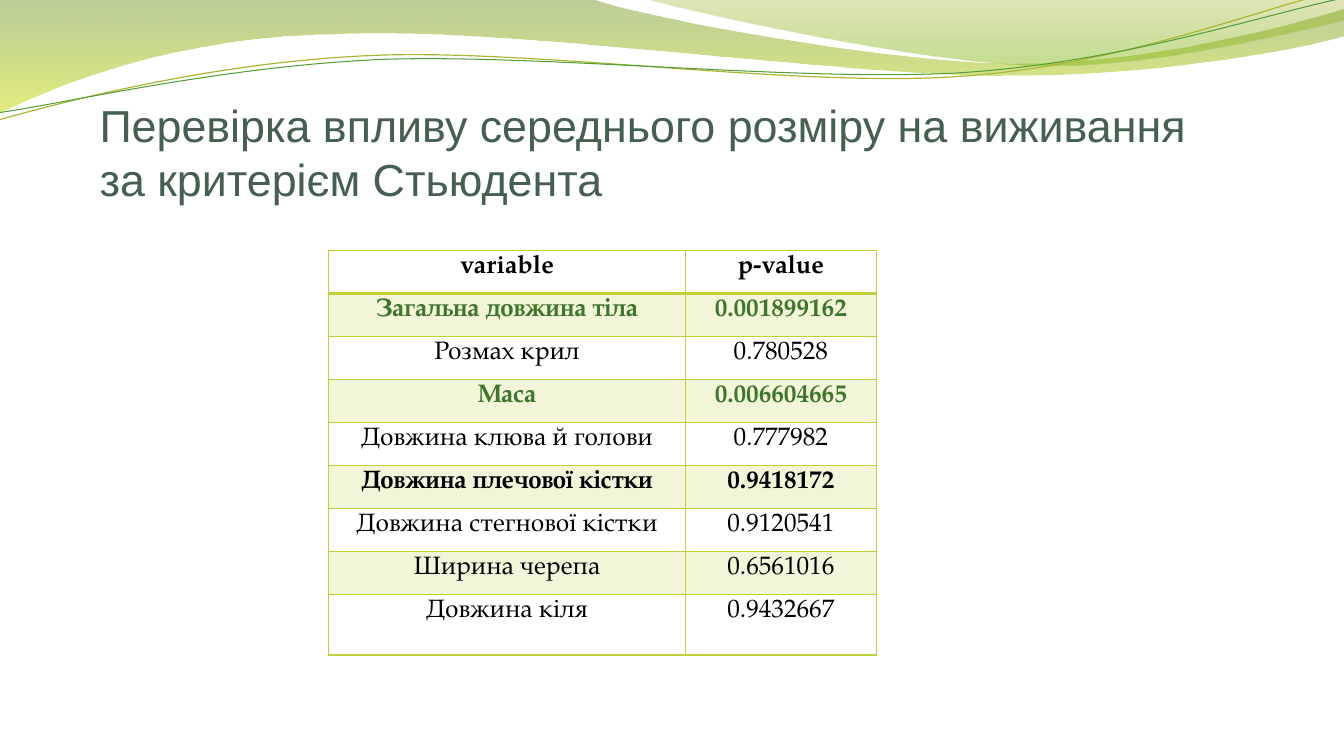
from lxml.etree import SubElement
from pptx import Presentation
from pptx.dml.color import RGBColor
from pptx.enum.text import MSO_ANCHOR, PP_ALIGN
from pptx.oxml.ns import qn
from pptx.util import Cm, Pt

LIME = RGBColor(0xC0, 0xCF, 0x3A)
PALE_LIME = RGBColor(0xF2, 0xF5, 0xD8)
GREEN = RGBColor(0x3F, 0x76, 0x2B)
SLATE = RGBColor(0x45, 0x5F, 0x51)
BLACK = RGBColor(0, 0, 0)
MOSS = RGBColor(0x69, 0x92, 0x1C)
YELLOW_GREEN = RGBColor(0xCC, 0xE1, 0x0F)
OLIVE = RGBColor(0x9B, 0xAA, 0x1A)
LEAF = RGBColor(0x81, 0xBA, 0x16)
OLIVE_LINE = RGBColor(0xA9, 0xB7, 0x33)
GREEN_LINE = RGBColor(0x54, 0x9E, 0x39)

BANDS = [
    ((0, 0), [
        [(14.91, -0.03)],
        [(16.1, 0.43), (22.45, 1.6), (25.68, 1.6)],
        [(28.88, 1.6), (32.44, 0.66), (33.86, 0.23)],
        [(33.88, 0.91)],
        [(33.3, 1.12), (29.44, 1.93), (25.25, 1.91)],
        [(21.06, 1.91), (12.93, 0.71), (8.71, 0.86)],
        [(4.37, 0.91), (1.55, 2.11), (-0.05, 2.87)],
    ], [(0, MOSS, 45), (1, YELLOW_GREEN, 55)]),
    ((16.21, -0.03), [
        [(17.25, 0.28), (23.09, 1.57), (26.04, 1.65)],
        [(28.96, 1.75), (32.56, 0.81), (33.86, 0.53)],
        [(33.86, 0)],
    ], [(0, OLIVE, 30), (0.8, LEAF, 45)]),
]
STRANDS = [
    ((-0.03, 3.02), [
        [(1.6, 2.57), (5.33, 1.57), (9.37, 1.4)],
        [(13.39, 1.22), (20.04, 2.21), (24.1, 1.93)],
        [(28.19, 1.68), (31.78, 0.2), (33.78, -0.25)],
    ], OLIVE_LINE, 0.85),
    ((-0.03, 2.84), [
        [(1.57, 2.62), (5.54, 1.68), (9.58, 1.5)],
        [(13.64, 1.35), (20.22, 2.08), (24.26, 1.83)],
        [(28.3, 1.57), (31.88, 0.36), (33.86, -0.05)],
    ], GREEN_LINE, 0.75),
]
ROWS = [
    ("variable", "p-value", BLACK, True),
    ("Загальна довжина тіла", "0.001899162", GREEN, True),
    ("Розмах крил", "0.780528", BLACK, False),
    ("Маса", "0.006604665", GREEN, True),
    ("Довжина клюва й голови", "0.777982", BLACK, False),
    ("Довжина плечової кістки", "0.9418172", BLACK, True),
    ("Довжина стегнової кістки", "0.9120541", BLACK, False),
    ("Ширина черепа", "0.6561016", BLACK, False),
    ("Довжина кіля", "0.9432667", BLACK, False),
]


def write(frame, text, font, size, color, bold=False, align=PP_ALIGN.LEFT):
    para = frame.paragraphs[0]
    para.text = text
    para.alignment = align
    for span in para.runs:
        span.font.name = font
        span.font.size = Pt(size)
        span.font.bold = bold
        span.font.color.rgb = color


def draw_outline(page, left, top, start, segments, close):
    corners = [start] + [corner for segment in segments for corner in segment]
    points = [(left + Cm(x), top + Cm(y)) for x, y in corners]
    builder = page.shapes.build_freeform(*points[0])
    builder.add_line_segments(points[1:], close=close)
    shape = builder.convert_to_shape()
    shape.shadow.inherit = False
    edges = list(shape._element.iter(qn("a:lnTo")))
    for segment in segments:
        first, *others = edges[:len(segment)]
        edges = edges[len(segment):]
        if others:
            outline = first.getparent()
            curve = SubElement(outline, qn("a:cubicBezTo"))
            outline.replace(first, curve)
            for edge in (first, *others):
                curve.append(edge[0])
            for edge in others:
                outline.remove(edge)
    return shape


def add_waves(page, left, top):
    for start, segments, stops in BANDS:
        band = draw_outline(page, left, top, start, segments, True)
        band.line.fill.background()
        band.fill.gradient()
        band.fill.gradient_angle = 270
        for stop, (position, color, opacity) in zip(band.fill.gradient_stops, stops):
            stop.position = position
            stop.color.rgb = color
        tints = band.fill._xPr.iter(qn("a:srgbClr"))
        for tint, (position, color, opacity) in zip(list(tints), stops):
            SubElement(tint, qn("a:alpha"), val=str(opacity * 1000))
    for start, segments, color, weight in STRANDS:
        strand = draw_outline(page, left, top, start, segments, False)
        strand.fill.background()
        strand.line.color.rgb = color
        strand.line.width = Pt(weight)


def add_title(page, left, top, width, height):
    frame = page.shapes.add_textbox(left, top, width, height).text_frame
    frame.word_wrap = True
    frame.vertical_anchor = MSO_ANCHOR.BOTTOM
    frame.margin_left = frame.margin_right = frame.margin_bottom = 0
    write(frame, "Перевірка впливу середнього розміру на виживання\vза критерієм Стьюдента",
          "Arial", 32, SLATE)


def set_borders(cell, top, bottom):
    properties = cell._tc.get_or_add_tcPr()
    for side, weight in (("L", 1), ("R", 1), ("T", top), ("B", bottom)):
        line = SubElement(properties, qn(f"a:ln{side}"), w=str(Pt(weight)))
        fill = SubElement(line, qn("a:solidFill"))
        SubElement(fill, qn("a:srgbClr"), val=str(LIME))


def add_results(page, left, top, width, height):
    table = page.shapes.add_table(len(ROWS), 2, left, top, width, height).table
    table.first_row = table.horz_banding = False
    table.columns[0].width = Cm(9)
    table.columns[1].width = width - Cm(9)
    last = len(ROWS) - 1
    row_height = (height - Cm(1.53)) // last
    for index, (name, value, color, bold) in enumerate(ROWS):
        table.rows[index].height = Cm(1.53) if index == last else row_height
        for column, text in enumerate((name, value)):
            cell = table.cell(index, column)
            set_borders(cell, 2 if index == 1 else 1, 2 if index == 0 else 1)
            if index % 2:
                cell.fill.solid()
                cell.fill.fore_color.rgb = PALE_LIME
            else:
                cell.fill.background()
            write(cell.text_frame, text, "TeX Gyre Pagella", 18, color, bold, PP_ALIGN.CENTER)


def main():
    deck = Presentation()
    deck.slide_width, deck.slide_height = Cm(33.87), Cm(19.05)
    page = deck.slides.add_slide(deck.slide_layouts[6])
    add_waves(page, 0, 0)
    add_title(page, Cm(2.51), Cm(3.86), Cm(30.48), Cm(1.32))
    add_results(page, Cm(8.28), Cm(6.31), Cm(13.8), Cm(10.2))
    deck.save("out.pptx")


if __name__ == "__main__":
    main()
